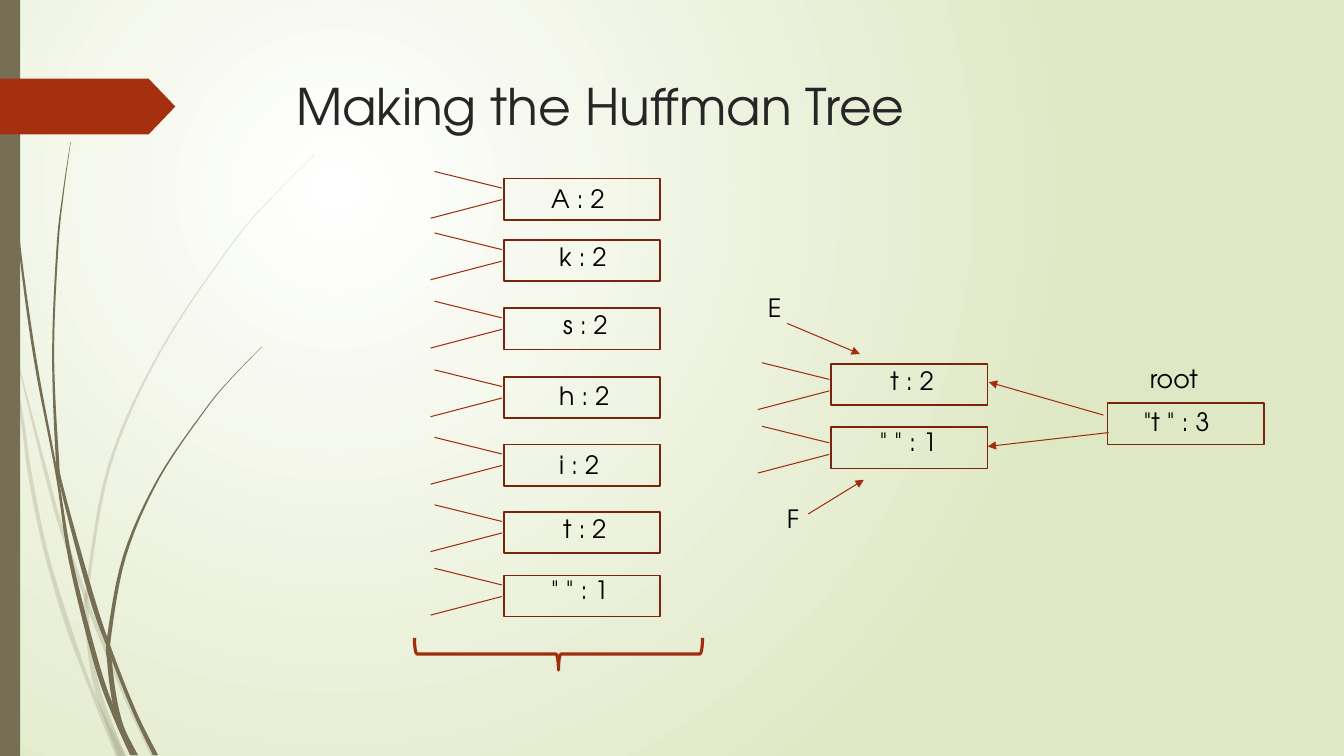
from lxml import etree
from pptx import Presentation
from pptx.dml.color import RGBColor
from pptx.enum.shapes import MSO_CONNECTOR, MSO_SHAPE
from pptx.enum.text import MSO_ANCHOR, PP_ALIGN
from pptx.oxml.ns import qn
from pptx.util import Cm, Pt

WHITE = RGBColor(0xFF, 0xFF, 0xFF)
PALE_GREEN = RGBColor(0xDF, 0xE8, 0xC4)
OLIVE = RGBColor(0x76, 0x6F, 0x54)
RUST = RGBColor(0xA5, 0x30, 0x10)
BOX_RED = RGBColor(0x7A, 0x24, 0x0C)
LINE_RED = RGBColor(0x9E, 0x2E, 0x0F)
DARK_GREY = RGBColor(0x26, 0x26, 0x26)
BLACK = RGBColor(0, 0, 0)

BOX_WIDTH, BOX_HEIGHT = 3.94, 1.04


def smooth_curve(points, steps=6):
    """Run a Catmull-Rom curve through (x, y, width) points."""
    padded = [points[0], *points, points[-1]]
    curve = []
    for a, b, c, d in zip(padded, padded[1:], padded[2:], padded[3:]):
        for step in range(steps):
            t = step / steps
            curve.append([
                (2 * q + (r - p) * t + (2 * p - 5 * q + 4 * r - s) * t ** 2
                 + (3 * q - p - 3 * r + s) * t ** 3) / 2
                for p, q, r, s in zip(a, b, c, d)])
    return curve + [points[-1]]


class SlideBuilder:
    font = "TeX Gyre Adventor"

    def __init__(self, slide):
        self.slide = slide
        self.shapes = slide.shapes

    def background(self):
        fill = self.slide.background.fill
        fill.gradient()
        for stop, color in zip(fill.gradient_stops, (WHITE, PALE_GREEN)):
            stop.color.rgb = color
        gradient = self.slide.element.find(".//" + qn("a:gradFill"))
        gradient.remove(gradient.find(qn("a:lin")))
        circle = etree.SubElement(gradient, qn("a:path"), path="circle")
        etree.SubElement(circle, qn("a:fillToRect"),
                         l="50000", t="50000", r="100000", b="100000")

    def set_text(self, frame, text, size, color):
        frame.word_wrap = True
        paragraph = frame.paragraphs[0]
        paragraph.text = text
        paragraph.alignment = PP_ALIGN.LEFT
        paragraph.font.name = self.font
        paragraph.font.size = Pt(size)
        paragraph.font.color.rgb = color

    def title(self, text, left, top, width, height):
        title = self.shapes.title
        title.left, title.top = Cm(left), Cm(top)
        title.width, title.height = Cm(width), Cm(height)
        title.text_frame.vertical_anchor = MSO_ANCHOR.MIDDLE
        self.set_text(title.text_frame, text, 36, DARK_GREY)

    def label(self, text, left, top, width=2.3):
        box = self.shapes.add_textbox(Cm(left), Cm(top), Cm(width), Cm(1.02))
        self.set_text(box.text_frame, text, 18, BLACK)

    def solid(self, shape, color):
        shape.shadow.inherit = False
        shape.fill.solid()
        shape.fill.fore_color.rgb = color
        shape.line.fill.background()

    def shape(self, kind, left, top, width, height):
        shape = self.shapes.add_shape(
            kind, Cm(left), Cm(top), Cm(width), Cm(height))
        shape.shadow.inherit = False
        return shape

    def outline(self, kind, left, top, width, height, color, weight):
        shape = self.shape(kind, left, top, width, height)
        shape.fill.background()
        shape.line.color.rgb = color
        shape.line.width = Pt(weight)
        return shape

    def line(self, start, end, arrow=False):
        connector = self.shapes.add_connector(
            MSO_CONNECTOR.STRAIGHT, *(Cm(value) for value in (*start, *end)))
        connector.line.color.rgb = LINE_RED
        connector.line.width = Pt(0.75)
        properties = connector.element.spPr
        if arrow:
            etree.SubElement(properties.find(qn("a:ln")),
                             qn("a:tailEnd"), type="triangle")
        etree.SubElement(properties, qn("a:effectLst"))

    def blade(self, points, opacity=None):
        curve = smooth_curve(points)
        outline = [(x - width / 2, y) for x, y, width in curve]
        outline += [(x + width / 2, y) for x, y, width in reversed(curve)]
        outline = [(Cm(x), Cm(y)) for x, y in outline]
        builder = self.shapes.build_freeform(*outline[0])
        builder.add_line_segments(outline[1:], close=True)
        blade = builder.convert_to_shape()
        self.solid(blade, OLIVE)
        if opacity:
            color = blade.element.spPr.find(".//" + qn("a:srgbClr"))
            etree.SubElement(color, qn("a:alpha"), val=str(opacity * 1000))

    def node(self, text, left, top, indent, rise):
        self.outline(MSO_SHAPE.RECTANGLE, left, top, BOX_WIDTH, BOX_HEIGHT,
                     BOX_RED, 1.25)
        self.label(text, left + indent, top - rise)

    def branches(self, left, top):
        self.line((left - 1.75, top - 0.18), (left - 0.05, top + 0.24))
        self.line((left - 1.85, top + 1), (left - 0.05, top + 0.53))


presentation = Presentation()
presentation.slide_width, presentation.slide_height = Cm(33.87), Cm(19.05)
builder = SlideBuilder(
    presentation.slides.add_slide(presentation.slide_layouts[5]))
builder.background()

# Grass blades: centre line and width
PALE_BLADES = [
    [(0, 7.3, 0.1), (0.25, 8.7, 0.06), (0.58, 10.7, 0.08), (0.75, 11.93, 0.1),
     (1.14, 13.84, 0.1), (1.71, 15.75, 0.13), (2.35, 17.5, 0.1),
     (3.04, 19.05, 0.25)],
    [(0.36, 8.76, 0.02), (1.02, 11.38, 0.08), (1.52, 13.23, 0.1),
     (2.16, 15.05, 0.1), (2.29, 15.44, 0.1), (3.18, 17.6, 0.1),
     (3.87, 19.05, 0.13)],
    [(7.92, 3.89, 0.01), (6.81, 5.02, 0.02), (5.8, 6.21, 0.03),
     (4.04, 8.85, 0.05), (2.76, 11.72, 0.08), (2.2, 14.83, 0.08),
     (2.19, 15.49, 0.1), (2.27, 16.41, 0.12), (2.5, 17.53, 0.15),
     (3.07, 19.05, 0.2)],
]
DARK_BLADES = [
    [(0.09, 0, 0.02), (0.19, 2.79, 0.03), (0.46, 5.92, 0.05),
     (0.88, 9.02, 0.07), (1.43, 11.94, 0.06), (1.78, 14.12, 0.1),
     (2.43, 16.71, 0.13), (2.88, 17.98, 0.13), (3.38, 19.03, 0.2)],
    [(1.78, 3.58, 0.01), (1.59, 4.9, 0.03), (1.45, 6.22, 0.05),
     (1.34, 8.86, 0.05), (1.44, 11.43, 0.08), (1.57, 12.32, 0.08),
     (2.3, 15.01, 0.13), (2.79, 16.43, 0.1), (3.4, 17.96, 0.1),
     (3.92, 19.03, 0.13)],
    [(6.6, 8.74, 0.01), (5.87, 9.49, 0.02), (5.19, 10.3, 0.03),
     (3.99, 12.07, 0.05), (3.14, 14.01, 0.08), (2.75, 16.05, 0.1),
     (2.76, 16.66, 0.12), (2.87, 17.55, 0.13), (3.05, 18.29, 0.13),
     (3.38, 19.03, 0.15)],
]
for points in PALE_BLADES:
    builder.blade(points, opacity=20)
for points in DARK_BLADES:
    builder.blade(points)

# Side bar and title with its marker
builder.solid(builder.shape(MSO_SHAPE.RECTANGLE, 0, 0, 0.51, 19.05), OLIVE)
marker = builder.shape(MSO_SHAPE.PENTAGON, 0, 1.98, 4.42, 1.41)
marker.adjustments[0] = 0.48
builder.solid(marker, RUST)
builder.title("Making the Huffman Tree", 7.21, 1.73, 24.77, 1.85)

# Character counts: text, top, indent and rise of the label
LIST_LEFT = 12.7
COUNTS = [
    ("A : 2", 4.5, 0.94, 0), ("k : 2", 6.05, 1.14, 0.1),
    ("s : 2", 7.77, 1.24, 0.1), ("h : 2", 9.5, 1.14, 0.03),
    ("i : 2", 11.2, 1.14, 0), ("t : 2", 12.9, 1.24, 0.1),
    ('" " : 1', 14.5, 0.94, 0.15),
]
for text, top, indent, rise in COUNTS:
    builder.node(text, LIST_LEFT, top, indent, rise)
    builder.branches(LIST_LEFT, top)
brace = builder.outline(MSO_SHAPE.LEFT_BRACE, 13.67, 12.85, 0.81, 7.26,
                        LINE_RED, 2.25)
brace.rotation = 270

# Merged pair under its root
PAIR_LEFT = 20.95
for text, top, indent, rise in [("t : 2", 9.17, 1.24, 0.1),
                                ('" " : 1', 10.77, 0.97, 0.15)]:
    builder.node(text, PAIR_LEFT, top, indent, rise)
    builder.branches(PAIR_LEFT, top + 0.15)
builder.node('"t " : 3', 27.91, 10.16, 0.66, 0.05)

# Names and pointers
for text, left, top in [("E", 19.1, 7.24), ("F", 19.58, 12.57),
                        ("root", 28.73, 9.02)]:
    builder.label(text, left, top)
for start, end in [((19.84, 8.15), (21.67, 8.92)),
                   ((20.37, 12.95), (21.77, 12.09)),
                   ((27.81, 10.46), (24.92, 9.63)),
                   ((27.94, 10.9), (24.89, 11.25))]:
    builder.line(start, end, arrow=True)

presentation.save("out.pptx")
